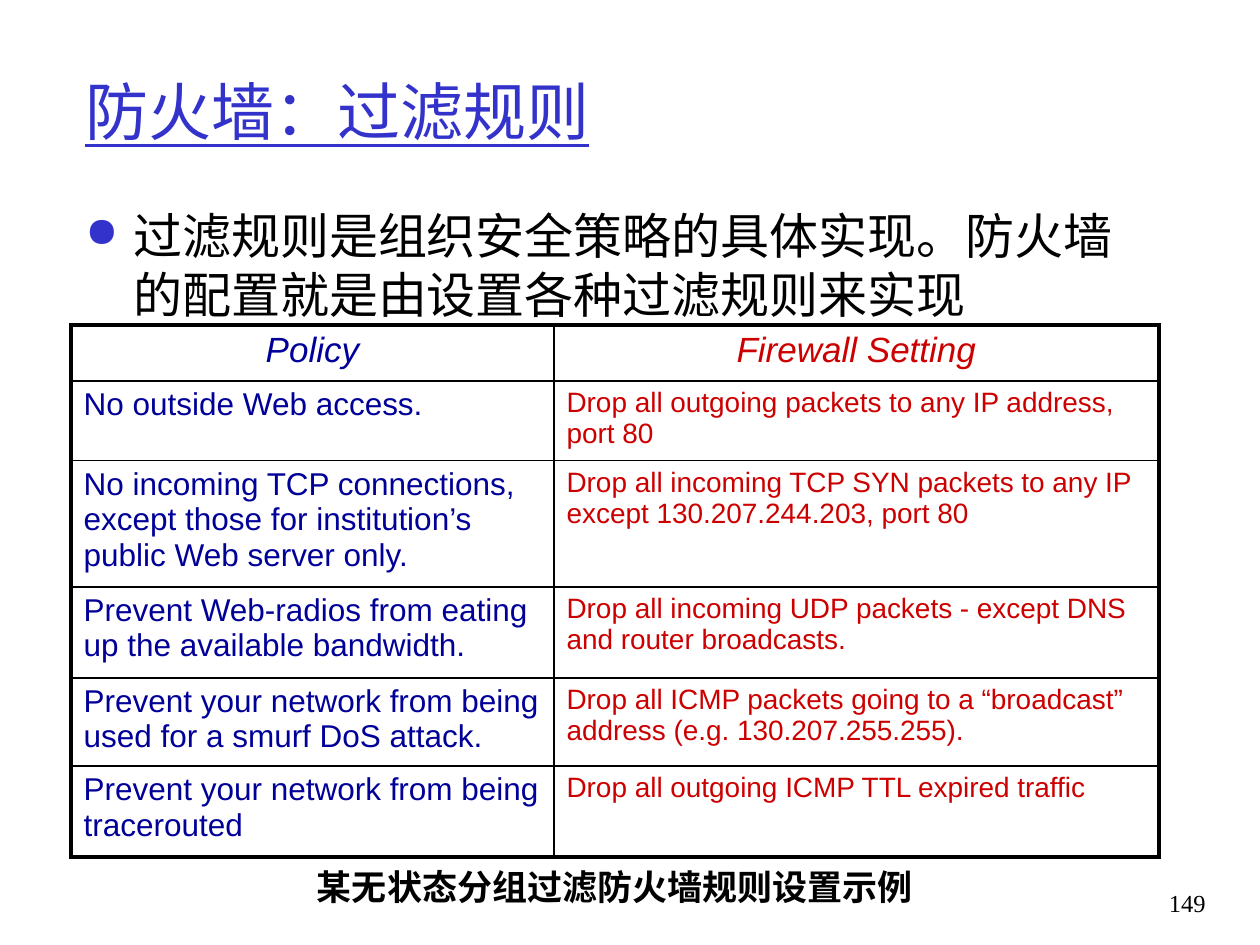
from lxml import etree
from pptx import Presentation
from pptx import util as u
from pptx.dml.color import RGBColor
from pptx.enum import text
from pptx.oxml import ns

PX = 914400 // 126
CJK = "Noto Sans CJK SC"
BLUE, NAVY, RED, BLACK = "3333CC", "000099", "CC0000", "000000"
RULES = [
    ("Policy", "Firewall Setting"),
    ("No outside Web access.",
     "Drop all outgoing packets to any IP address, port 80"),
    ("No incoming TCP connections, except those for institution’s public Web server only.",
     "Drop all incoming TCP SYN packets to any IP except 130.207.244.203, port 80"),
    ("Prevent Web-radios from eating up the available bandwidth.",
     "Drop all incoming UDP packets - except DNS and router broadcasts."),
    ("Prevent your network from being used for a smurf DoS attack.",
     "Drop all ICMP packets going to a “broadcast” address (e.g. 130.207.255.255)."),
    ("Prevent your network from being tracerouted",
     "Drop all outgoing ICMP TTL expired traffic"),
]
COLUMNS = [483, 605]
ROWS = [56, 78, 123, 91, 83, 91]


def px(length):
    return u.Emu(length * PX)


def colour(value):
    return RGBColor.from_string(value)


def child(parent, tag, **attributes):
    return etree.SubElement(parent, ns.qn(tag), attributes)


def write(para, words, size, font, hue, align="LEFT", **formats):
    para.alignment = getattr(text.PP_ALIGN, align)
    span = para.add_run()
    span.text = words
    for name, value in {"size": u.Pt(size), "name": font, **formats}.items():
        setattr(span.font, name, value)
    span.font.color.rgb = colour(hue)
    child(span.font._element, "a:ea", typeface=CJK)


def add_box(page, area, anchor="TOP"):
    box = page.shapes.add_textbox(*map(px, area))
    frame = box.text_frame
    frame.word_wrap = True
    frame.vertical_anchor = getattr(text.MSO_ANCHOR, anchor)
    return frame


def add_title(page, area):
    para = add_box(page, area, "MIDDLE").paragraphs[0]
    write(para, "防火墙：过滤规则", 36, "Calibri", BLUE, underline=True)


def add_body(page, area):
    frame = add_box(page, area)
    frame.margin_top = px(12)
    para = frame.paragraphs[0]
    para.line_spacing = u.Pt(33.7)
    # Hanging round bullet
    layout = para._p.get_or_add_pPr()
    layout.set("marL", str(px(48)))
    layout.set("indent", str(px(-48)))
    child(child(layout, "a:buClr"), "a:srgbClr", val=BLUE)
    child(layout, "a:buSzPct", val="85000")
    child(layout, "a:buChar", char="●")
    write(para, "过滤规则是组织安全策略的具体实现。防火墙的配置就是由设置各种过滤规则来实现",
          28, "Times New Roman", BLACK)


def add_borders(cell, outer):
    properties = cell._tc.get_or_add_tcPr()
    for place, side in enumerate("LRTB"):
        width = u.Pt(2.25 if side in outer else 1)
        line = etree.Element(ns.qn(f"a:ln{side}"), w=str(width))
        child(child(line, "a:solidFill"), "a:srgbClr", val=BLACK)
        properties.insert(place, line)


def add_rules(page, left, top):
    area = (left, top, sum(COLUMNS), sum(ROWS))
    table = page.shapes.add_table(len(ROWS), len(COLUMNS), *map(px, area)).table
    table.first_row = table.horz_banding = False
    for column, width in zip(table.columns, COLUMNS):
        column.width = px(width)
    for row, height in zip(table.rows, ROWS):
        row.height = px(height)
    for i, words in enumerate(RULES):
        for j, (hue, size) in enumerate([(NAVY, 18), (RED, 16)]):
            cell = table.cell(i, j)
            cell.fill.background()
            outer = "LR"[j] + ("T" if i == 0 else "") + ("B" if i == len(ROWS) - 1 else "")
            add_borders(cell, outer)
            header = i == 0
            write(cell.text_frame.paragraphs[0], words[j], 20 if header else size, "Arial",
                  hue, "CENTER" if header else "LEFT", italic=header)


def add_caption(page, area):
    para = add_box(page, area).paragraphs[0]
    write(para, "某无状态分组过滤防火墙规则设置示例", 20, CJK, BLACK, "CENTER", bold=True)


def add_number(page, area):
    para = add_box(page, area).paragraphs[0]
    write(para, "149", 14, "Times New Roman", BLACK, "RIGHT")


def main():
    deck = Presentation()
    deck.slide_width, deck.slide_height = px(1260), px(945)
    page = deck.slides.add_slide(deck.slide_layouts[6])
    add_number(page, (1125, 882, 93, 63))
    add_title(page, (73, 32, 1071, 157))
    add_body(page, (73, 193, 1085, 640))
    add_rules(page, 71, 325)
    add_caption(page, (297, 859, 636, 55))
    deck.save("out.pptx")


if __name__ == "__main__":
    main()
